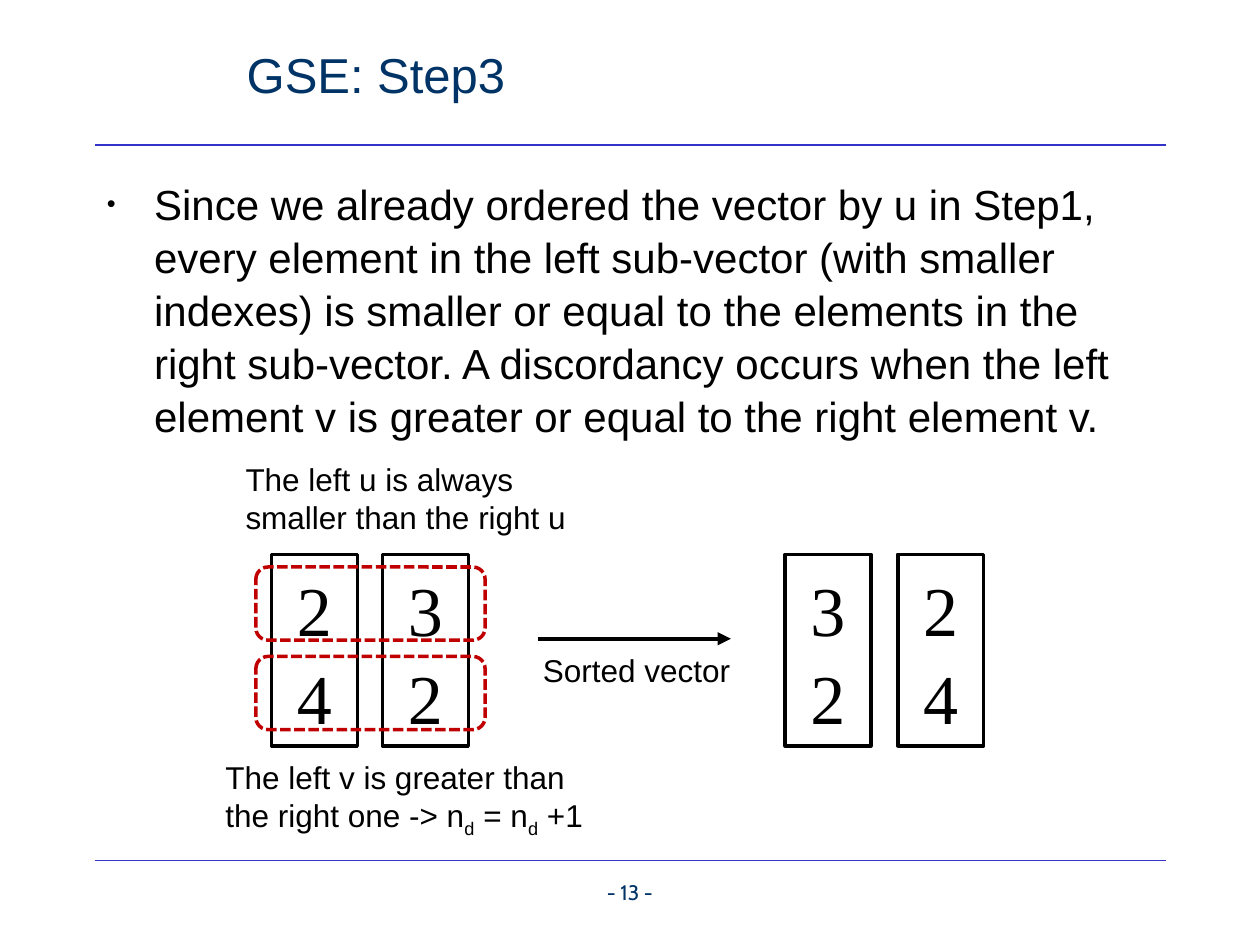
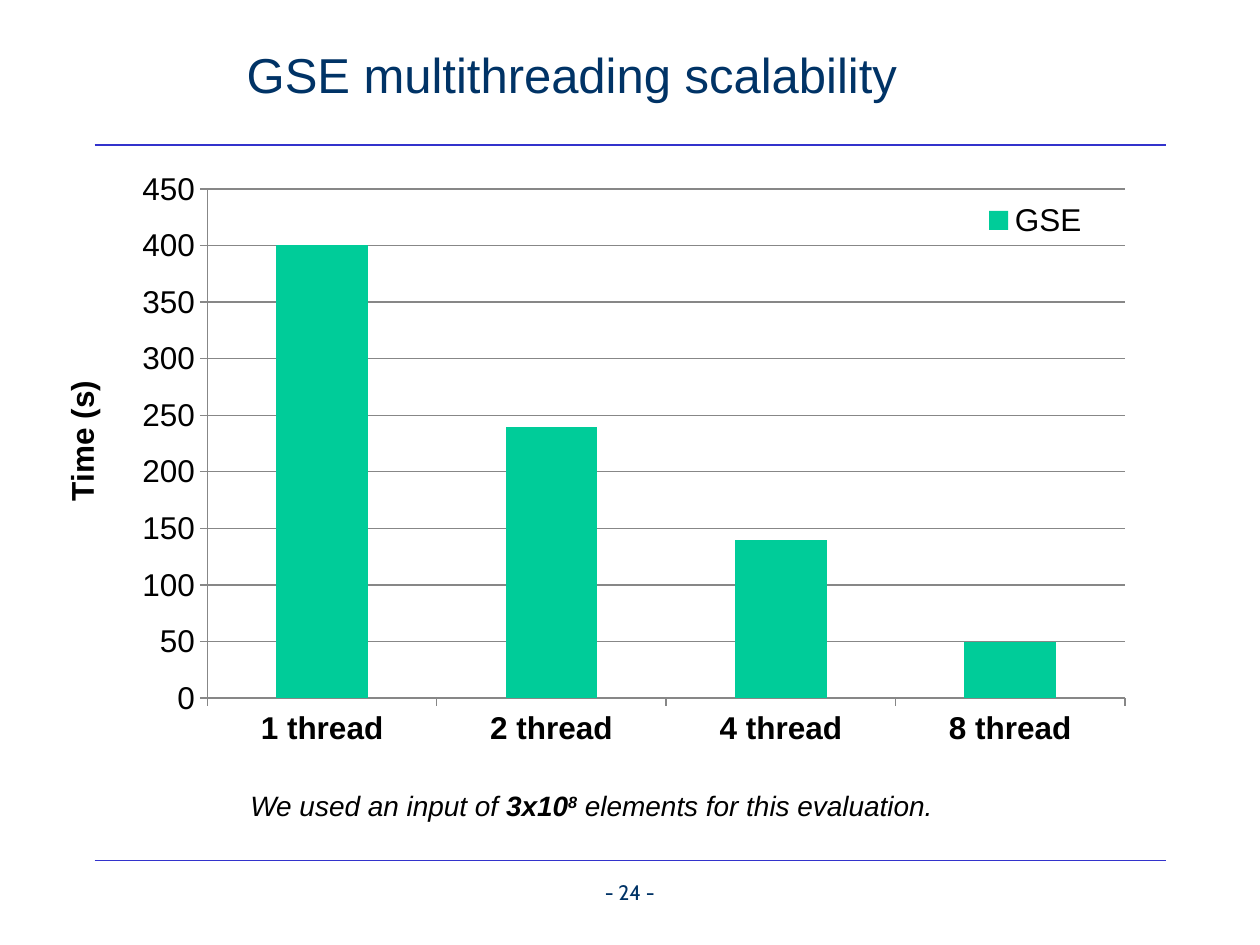
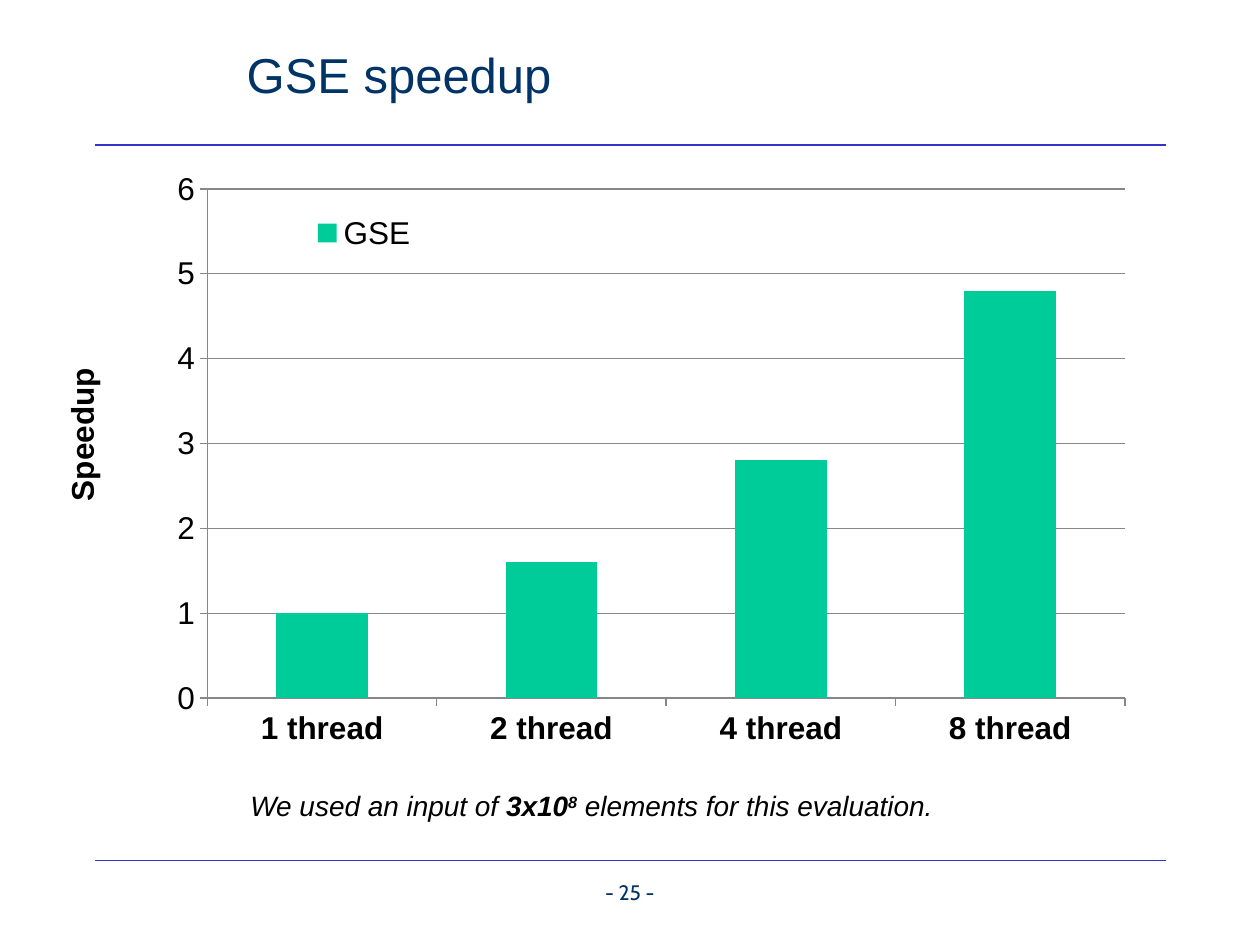
"""Build three slides on the GSE discordancy step and its thread scaling."""
import dataclasses

import pptx
import pptx.chart.data
import pptx.dml.color
import pptx.enum.chart
import pptx.enum.dml
import pptx.enum.shapes
import pptx.enum.text
import pptx.oxml.ns
import pptx.oxml.xmlchemy
import pptx.util

Pt = pptx.util.Pt
RGB = pptx.dml.color.RGBColor.from_string
ALIGN = pptx.enum.text.PP_ALIGN
ANCHOR = pptx.enum.text.MSO_ANCHOR
SHAPE = pptx.enum.shapes.MSO_SHAPE


@dataclasses.dataclass(frozen=True)
class Theme:
    navy: str = "003366"
    black: str = "000000"
    white: str = "FFFFFF"
    rule: str = "3333CC"
    pair: str = "C00000"
    bar: str = "00CC99"
    grid: str = "878787"
    sans: str = "Arial"
    serif: str = "Times New Roman"
    footer: str = "Cabin"
    title_size: int = 28
    body_size: int = 24
    label_size: int = 18
    note_size: int = 16
    page_size: int = 12
    digit_size: int = 40
    loose: float = 1.05


@dataclasses.dataclass(frozen=True)
class Run:
    text: str
    bold: bool = False
    baseline: int = 0


def xml_element(tag, **attributes):
    element = pptx.oxml.xmlchemy.OxmlElement(tag)
    for name, value in attributes.items():
        element.set(name, str(value))
    return element


def place_chart_part(parent, index, inner, **fractions):
    for old in parent.findall(pptx.oxml.ns.qn("c:layout")):
        parent.remove(old)
    layout = xml_element("c:layout")
    manual = xml_element("c:manualLayout")
    if inner:
        manual.append(xml_element("c:layoutTarget", val="inner"))
    for axis in "xy":
        manual.append(xml_element(f"c:{axis}Mode", val="edge"))
    for name, value in fractions.items():
        manual.append(xml_element(f"c:{name}", val=value))
    layout.append(manual)
    parent.insert(index, layout)


class Deck:
    def __init__(self, theme):
        self.theme = theme
        self.presentation = pptx.Presentation()
        self.presentation.slide_width = Pt(720)
        self.presentation.slide_height = Pt(540)
        self.slide = None

    def start_slide(self, title, number):
        theme = self.theme
        self.slide = self.presentation.slides.add_slide(self.presentation.slide_layouts[6])
        for y in (82.8, 491.8):
            self.line(54, y, 666, y, theme.rule, 0.75)
        self.text((133.9, 9.4, 447, 66), [Run(title)], theme.title_size,
                  color=theme.navy, anchor=ANCHOR.MIDDLE)
        self.text((321.8, 499, 76.3, 18), [Run(f"- {number} -")], theme.page_size,
                  color=theme.navy, font=theme.footer, align=ALIGN.CENTER)

    def add_runs(self, paragraph, runs, size, color, font, italic=False):
        for part in runs:
            run = paragraph.add_run()
            run.text = part.text
            run.font.name = font
            run.font.size = Pt(size)
            run.font.bold = part.bold
            run.font.italic = italic
            run.font.color.rgb = RGB(color)
            if part.baseline:
                run.font._element.set("baseline", str(part.baseline * 1000))

    def text(self, box, runs, size, color=None, font=None, align=ALIGN.LEFT,
             anchor=ANCHOR.TOP, italic=False, rotation=0):
        shape = self.slide.shapes.add_textbox(*map(Pt, box))
        shape.rotation = rotation
        frame = shape.text_frame
        frame.word_wrap = True
        frame.vertical_anchor = anchor
        paragraph = frame.paragraphs[0]
        paragraph.alignment = align
        self.add_runs(paragraph, runs, size, color or self.theme.black,
                      font or self.theme.sans, italic)
        return paragraph

    def bullet(self, box, text):
        paragraph = self.text(box, [Run(text)], self.theme.body_size)
        paragraph.line_spacing = self.theme.loose
        properties = paragraph._p.get_or_add_pPr()
        properties.set("marL", str(Pt(27)))
        properties.set("indent", str(Pt(-27)))
        properties.append(xml_element("a:buSzPct", val=60000))
        properties.append(xml_element("a:buFont", typeface=self.theme.sans))
        properties.append(xml_element("a:buChar", char="•"))

    def line(self, x1, y1, x2, y2, color, width, arrow=False):
        connector = self.slide.shapes.add_connector(
            pptx.enum.shapes.MSO_CONNECTOR.STRAIGHT, Pt(x1), Pt(y1), Pt(x2), Pt(y2))
        connector.line.color.rgb = RGB(color)
        connector.line.width = Pt(width)
        if arrow:
            connector.line._get_or_add_ln().append(xml_element("a:tailEnd", type="triangle"))
        connector._element.spPr.append(xml_element("a:effectLst"))

    def outline(self, kind, box, color):
        shape = self.slide.shapes.add_shape(kind, *map(Pt, box))
        shape.shadow.inherit = False
        shape.line.color.rgb = RGB(color)
        shape.line.width = Pt(2)
        return shape

    def vector(self, left, digits):
        theme = self.theme
        shape = self.outline(SHAPE.RECTANGLE, (left, 316.8, 49, 109.4), theme.black)
        shape.fill.solid()
        shape.fill.fore_color.rgb = RGB(theme.white)
        frame = shape.text_frame
        for index, digit in enumerate(digits):
            paragraph = frame.add_paragraph() if index else frame.paragraphs[0]
            paragraph.alignment = ALIGN.CENTER
            paragraph.line_spacing = theme.loose
            self.add_runs(paragraph, [Run(digit)], theme.digit_size, theme.black, theme.serif)

    def pair_frame(self, top):
        shape = self.outline(SHAPE.ROUNDED_RECTANGLE, (146.2, top, 131, 41.8), self.theme.pair)
        shape.fill.background()
        shape.line.dash_style = pptx.enum.dml.MSO_LINE.SQUARE_DOT

    def column_chart(self, values, maximum, step, legend_x, legend_y):
        theme = self.theme
        data = pptx.chart.data.CategoryChartData()
        data.categories = [f"{count} thread" for count in (1, 2, 4, 8)]
        data.add_series("GSE", values)
        chart = self.slide.shapes.add_chart(
            pptx.enum.chart.XL_CHART_TYPE.COLUMN_CLUSTERED,
            Pt(48.2), Pt(97.2), Pt(639.4), Pt(359.3), data).chart
        chart.has_title = False
        chart.font.name = theme.sans
        chart.font.size = Pt(theme.label_size)
        chart.font.color.rgb = RGB(theme.black)

        plot = chart.plots[0]
        plot.gap_width = 150
        plot.vary_by_categories = False
        fill = plot.series[0].format.fill
        fill.solid()
        fill.fore_color.rgb = RGB(theme.bar)

        value_axis, category_axis = chart.value_axis, chart.category_axis
        value_axis.minimum_scale = 0
        value_axis.maximum_scale = maximum
        value_axis.major_unit = step
        value_axis.has_major_gridlines = True
        category_axis.tick_labels.font.bold = True
        for axis in (value_axis, category_axis):
            axis.major_tick_mark = pptx.enum.chart.XL_TICK_MARK.OUTSIDE
        for part in (value_axis, category_axis, value_axis.major_gridlines):
            part.format.line.color.rgb = RGB(theme.grid)
            part.format.line.width = Pt(0.75)

        chart.has_legend = True
        chart.legend.position = pptx.enum.chart.XL_LEGEND_POSITION.RIGHT
        chart.legend.include_in_layout = False
        place_chart_part(chart.legend._element, 1, False, x=legend_x, y=legend_y, w=0.1, h=0.06)
        plot_area = chart._chartSpace.xpath("c:chart/c:plotArea")[0]
        place_chart_part(plot_area, 0, True, x=0.11, y=0.03, w=0.82, h=0.81)

    def result_slide(self, title, number, axis_name, *chart_settings):
        theme = self.theme
        self.start_slide(title, number)
        self.column_chart(*chart_settings)
        self.text((-22.3, 210.2, 137.5, 28.8), [Run(axis_name, bold=True)],
                  theme.label_size, rotation=270)
        self.text((136, 447.1, 447, 26.6),
                  [Run("We used an input of "), Run("3x10", bold=True),
                   Run("8", bold=True, baseline=30), Run(" elements for this evaluation.")],
                  theme.note_size, italic=True)

    def step_slide(self):
        theme = self.theme
        self.start_slide("GSE: Step3", 13)
        self.bullet((54, 97.2, 612, 376.6),
                    "Since we already ordered the vector by u in Step1, every element in the "
                    "left sub-vector (with smaller indexes) is smaller or equal to the elements "
                    "in the right sub-vector. A discordancy occurs when the left element v is "
                    "greater or equal to the right element v.")
        for left, digits in ((155.2, "24"), (218.6, "32"), (448.6, "32"), (513, "24")):
            self.vector(left, digits)
        for top in (324, 375.1):
            self.pair_frame(top)
        self.text((133.2, 259.2, 210.2, 51.1),
                  [Run("The left u is always smaller than the right u")], theme.label_size)
        subscript = Run("d", baseline=-25)
        self.text((121.7, 429.8, 234, 51.1),
                  [Run("The left v is greater than the right one -> n"), subscript,
                   Run(" = n"), subscript, Run(" +1")], theme.label_size)
        self.line(307.4, 365, 417.6, 365, theme.black, 2.5, arrow=True)
        self.text((303.1, 368.6, 130.3, 28.8), [Run("Sorted vector")], theme.label_size)


def main():
    deck = Deck(Theme())
    deck.step_slide()
    deck.result_slide("GSE multithreading scalability", 24, "Time (s)",
                      (400, 240, 140, 50), 450, 50, 0.8, 0.05)
    deck.result_slide("GSE speedup", 25, "Speedup",
                      (1, 1.6, 2.8, 4.8), 6, 1, 0.2, 0.07)
    deck.presentation.save("out.pptx")


if __name__ == "__main__":
    main()
